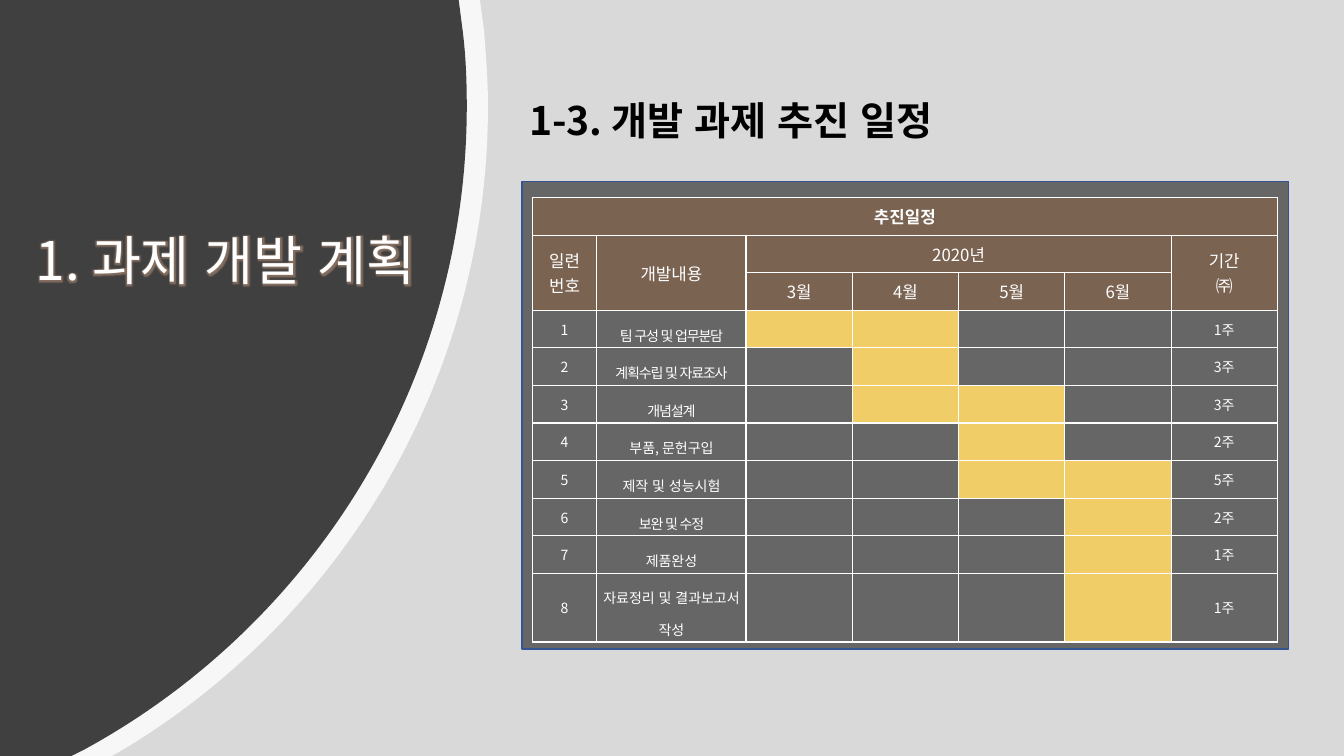
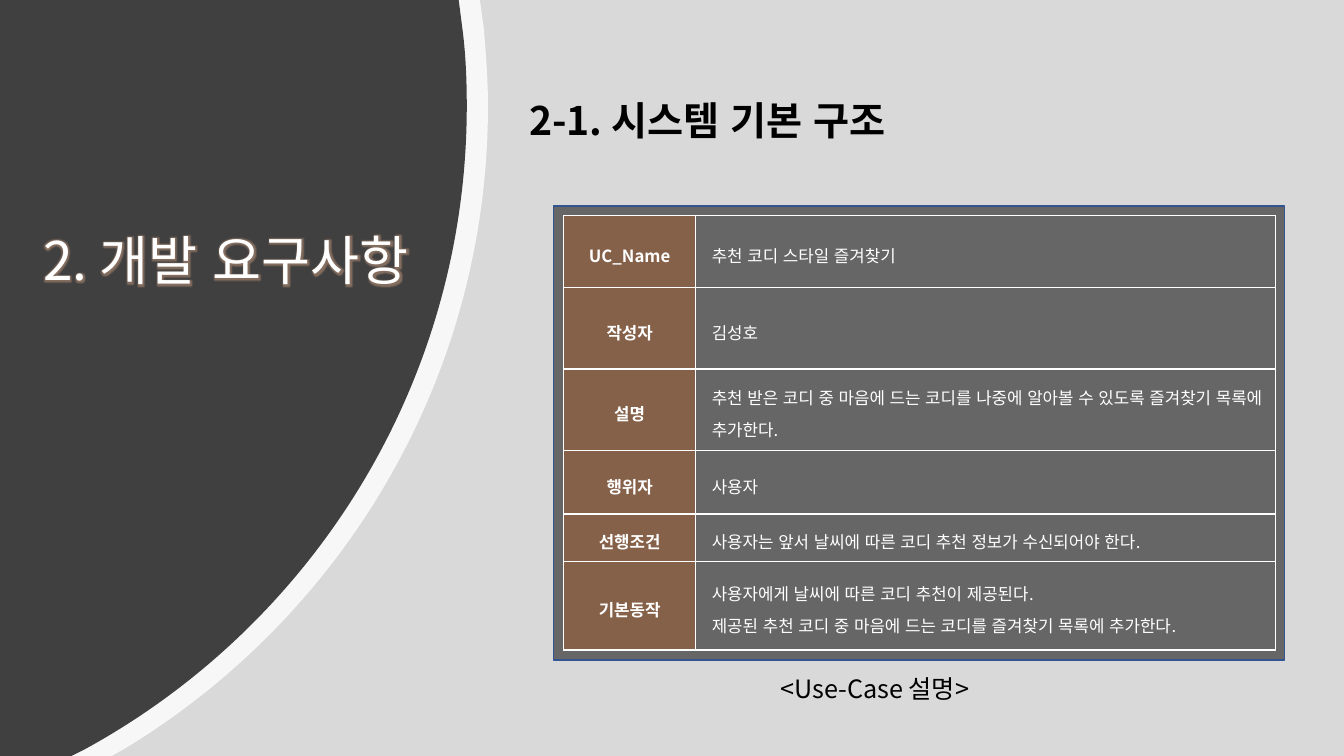
from dataclasses import dataclass
from typing import Any, Optional

from lxml import etree
from pptx import Presentation
from pptx.dml.color import RGBColor
from pptx.enum.shapes import MSO_SHAPE
from pptx.enum.text import MSO_ANCHOR, PP_ALIGN
from pptx.oxml.ns import qn
from pptx.util import Inches, Pt

RECTANGLE = MSO_SHAPE.RECTANGLE
TOP, MIDDLE = MSO_ANCHOR.TOP, MSO_ANCHOR.MIDDLE
LEFT, CENTER = PP_ALIGN.LEFT, PP_ALIGN.CENTER

FONT = "Noto Sans CJK KR"
BACKGROUND, DARK, BLACK, WHITE = "D9D9D9", "404040", "000000", "FFFFFF"
BROWN, YELLOW, PANEL_LINE, GLOW = "C55A11", "FFD966", "325491", "EDB48F"
WIDTH, HEIGHT = 13.33, 7.5
BORDER_TAGS = ("a:lnL", "a:lnR", "a:lnT", "a:lnB")

Point = tuple[float, float]
Box = tuple[float, float, float, float]


@dataclass(frozen=True)
class TextStyle:
    size: float
    color: str = WHITE
    bold: bool = False
    align: Any = LEFT
    line_spacing: float = 1.0
    tracking: float = 0
    glow: bool = False


@dataclass(frozen=True)
class CellStyle:
    text: TextStyle
    insets: Box = (0.1, 0.05, 0.1, 0.05)
    fill: Optional[str] = None
    opacity: int = 100


@dataclass(frozen=True)
class Disc:
    """A dark-side band whose right edge is two Bezier curves."""
    top: float
    shoulder: Point
    curves: tuple[Point, ...]
    bottom: float
    color: str
    opacity: int


@dataclass(frozen=True)
class Task:
    name: str
    months: tuple[int, ...]
    weeks: int
    tracking: float = 0


DISCS = (
    Disc(4.76, (4.8, 0.29), ((4.82, 0.54), (4.84, 0.8), (4.84, 1.05),
                             (4.84, 3.75), (3.4, 6.11), (1.25, 7.42)), 1.11, WHITE, 80),
    Disc(4.55, (4.59, 0.31), ((4.62, 0.55), (4.63, 0.8), (4.63, 1.05),
                              (4.63, 3.81), (3.09, 6.21), (0.83, 7.44)), 0.71, DARK, 100),
)
CHAPTER = TextStyle(38, align=CENTER, line_spacing=0.9, glow=True)
HEADING = TextStyle(28, BLACK, bold=True, line_spacing=1.5)
CAPTION = TextStyle(18, BLACK)

MONTHS = (3, 4, 5, 6)
TASKS = (
    Task("팀 구성 및 업무분담", (3, 4), 1, -0.8),
    Task("계획수립 및 자료조사", (4,), 3, -0.8),
    Task("개념설계", (4, 5), 3, -0.8),
    Task("부품, 문헌구입", (5,), 2),
    Task("제작 및 성능시험", (5, 6), 5),
    Task("보완 및 수정", (6,), 2, -0.8),
    Task("제품완성", (6,), 1),
    Task("자료정리 및 결과보고서 작성", (6,), 1),
)
USE_CASE = (
    ("UC_Name", ("추천 코디 스타일 즐겨찾기",), 0.71),
    ("작성자", ("김성호",), 0.81),
    ("설명", ("추천 받은 코디 중 마음에 드는 코디를 나중에 알아볼 수 있도록 "
            "즐겨찾기 목록에 추가한다.",), 0.81),
    ("행위자", ("사용자",), 0.63),
    ("선행조건", ("사용자는 앞서 날씨에 따른 코디 추천 정보가 수신되어야 한다.",), 0.47),
    ("기본동작", ("사용자에게 날씨에 따른 코디 추천이 제공된다.",
              "제공된 추천 코디 중 마음에 드는 코디를 즐겨찾기 목록에 추가한다."), 0.88),
)


def paint(fill: Any, color: str, opacity: int = 100) -> None:
    fill.solid()
    fill.fore_color.rgb = RGBColor.from_string(color)
    if opacity < 100:
        # The fill object exposes no opacity, so the colour element is extended.
        element = fill.fore_color._xFill.find(qn("a:srgbClr"))
        etree.SubElement(element, qn("a:alpha"), val=str(opacity * 1000))


def add_glow(run: Any) -> None:
    effects = etree.Element(qn("a:effectLst"))
    glow = etree.SubElement(effects, qn("a:glow"), rad=str(Pt(5)))
    color = etree.SubElement(glow, qn("a:srgbClr"), val=GLOW)
    etree.SubElement(color, qn("a:alpha"), val="40000")
    run.font._element.find(qn("a:solidFill")).addnext(effects)


def write_text(frame: Any, lines: tuple[str, ...], style: TextStyle) -> None:
    for index, line in enumerate(lines):
        paragraph = frame.add_paragraph() if index else frame.paragraphs[0]
        paragraph.alignment = style.align
        paragraph.line_spacing = style.line_spacing
        run = paragraph.add_run()
        run.text = line
        values = {"name": FONT, "size": Pt(style.size), "bold": style.bold}
        for name, value in values.items():
            setattr(run.font, name, value)
        paint(run.font.fill, style.color)
        properties = run.font._element
        properties.find(qn("a:latin")).addnext(
            etree.Element(qn("a:ea"), typeface=FONT))
        attributes = {"lang": "ko-KR", "kern": "0",
                      "spc": str(round(style.tracking * 100))}
        for name, value in attributes.items():
            properties.set(name, value)
        if style.glow:
            add_glow(run)


def add_text(slide: Any, box: Box, text: str, style: TextStyle,
             anchor: Any = TOP, indent: float = 0) -> None:
    frame = slide.shapes.add_textbox(*map(Inches, box)).text_frame
    frame.word_wrap = True
    frame.vertical_anchor = anchor
    write_text(frame, (text,), style)
    if indent:
        properties = frame.paragraphs[0]._p.get_or_add_pPr()
        properties.set("marL", str(Inches(indent)))
        properties.set("indent", "0")


def bend_segments(shape: Any, first: int, count: int) -> None:
    """Turn each three of the line segments from first on into one Bezier curve."""
    segments = list(shape._element.iter(qn("a:lnTo")))[first:first + count]
    for start in range(0, count, 3):
        curve = etree.Element(qn("a:cubicBezTo"))
        segments[start].addprevious(curve)
        for segment in segments[start:start + 3]:
            curve.append(segment.find(qn("a:pt")))
            segment.getparent().remove(segment)


def add_disc(slide: Any, disc: Disc) -> None:
    outline = [(disc.top, 0), disc.shoulder, *disc.curves,
               (disc.bottom, HEIGHT), (0, HEIGHT)]
    builder = slide.shapes.build_freeform(0, 0)
    builder.add_line_segments([(Inches(x), Inches(y)) for x, y in outline])
    shape = builder.convert_to_shape()
    bend_segments(shape, 2, len(disc.curves))
    shape.shadow.inherit = False
    paint(shape.fill, disc.color, disc.opacity)
    shape.line.fill.background()


def add_rectangle(slide: Any, box: Box, color: str, opacity: int = 100,
                  line: Optional[str] = None) -> None:
    shape = slide.shapes.add_shape(RECTANGLE, *map(Inches, box))
    shape.shadow.inherit = False
    paint(shape.fill, color, opacity)
    if line:
        paint(shape.line.fill, line)
        shape.line.width = Pt(1.25)
    else:
        shape.line.fill.background()


def add_section_slide(presentation: Any, chapter: str, heading: str,
                      panel: Box) -> Any:
    slide = presentation.slides.add_slide(presentation.slide_layouts[6])
    add_rectangle(slide, (0, 0, WIDTH, HEIGHT), BACKGROUND)
    for disc in DISCS:
        add_disc(slide, disc)
    add_text(slide, (4.84, 0.67, 8.05, 0.87), heading, HEADING, indent=0.31)
    add_text(slide, (0.01, 1.41, 4.46, 2.41), chapter, CHAPTER, MIDDLE)
    add_rectangle(slide, panel, BLACK, 53, PANEL_LINE)
    return slide


def add_borders(cell: Any) -> None:
    properties = cell._tc.get_or_add_tcPr()
    for position, tag in enumerate(BORDER_TAGS):
        line = etree.Element(qn(tag), w=str(Pt(1)))
        fill = etree.SubElement(line, qn("a:solidFill"))
        etree.SubElement(fill, qn("a:srgbClr"), val=WHITE)
        properties.insert(position, line)


def add_grid(slide: Any, left: float, top: float, widths: list[float],
             heights: list[float]) -> Any:
    """Add an unfilled table with white borders."""
    table = slide.shapes.add_table(
        len(heights), len(widths), Inches(left), Inches(top),
        Inches(sum(widths)), Inches(sum(heights))).table
    table.first_row = table.horz_banding = False
    for column, width in zip(table.columns, widths):
        column.width = Inches(width)
    for row, height in zip(table.rows, heights):
        row.height = Inches(height)
    for cell in table.iter_cells():
        cell.fill.background()
        add_borders(cell)
        # Keeps empty cells from stretching their rows.
        cell.text_frame.paragraphs[0].font.size = Pt(10)
    return table


def fill_cell(cell: Any, lines: tuple[str, ...], style: CellStyle) -> None:
    cell.vertical_anchor = MIDDLE
    sides = ("margin_left", "margin_top", "margin_right", "margin_bottom")
    for side, inset in zip(sides, style.insets):
        setattr(cell, side, Inches(inset))
    if style.fill:
        paint(cell.fill, style.fill, style.opacity)
    write_text(cell.text_frame, lines, style.text)


def add_schedule(slide: Any) -> None:
    number_width, name_width, total_width = 0.64, 1.48, 7.39
    month_width = (total_width - number_width - name_width) / 5
    table = add_grid(slide, 5.28, 1.96,
                     [number_width, name_width] + [month_width] * 5,
                     [3.73 / 10] * 10 + [0.68])
    banner = CellStyle(TextStyle(12, bold=True, align=CENTER), fill=BROWN, opacity=23)
    header = CellStyle(TextStyle(12, align=CENTER), fill=BROWN, opacity=23)
    value = CellStyle(TextStyle(10, align=CENTER))
    merged_headers = (
        (0, 0, 0, 6, ("추진일정",), banner),
        (1, 0, 2, 0, ("일련번호",), header),
        (1, 1, 2, 1, ("개발내용",), header),
        (1, 2, 1, 5, ("2020년",), header),
        (1, 6, 2, 6, ("기간", "㈜"), header),
    )
    for row, column, last_row, last_column, lines, style in merged_headers:
        cell = table.cell(row, column)
        cell.merge(table.cell(last_row, last_column))
        fill_cell(cell, lines, style)
    for column, month in enumerate(MONTHS, start=2):
        fill_cell(table.cell(2, column), (f"{month}월",), header)
    for number, task in enumerate(TASKS, start=1):
        row = number + 2
        name = CellStyle(TextStyle(10, align=CENTER, line_spacing=1.6,
                                   tracking=task.tracking), (0.02,) * 4)
        fill_cell(table.cell(row, 0), (str(number),), value)
        fill_cell(table.cell(row, 1), (task.name,), name)
        fill_cell(table.cell(row, 6), (f"{task.weeks}주",), value)
        for month in task.months:
            paint(table.cell(row, 2 + MONTHS.index(month)).fill, YELLOW, 90)


def add_use_case(slide: Any) -> None:
    add_text(slide, (7.64, 6.63, 2.89, 0.4), "<Use-Case 설명>", CAPTION)
    table = add_grid(slide, 5.59, 2.14, [1.31, 5.75],
                     [height for _, _, height in USE_CASE])
    label_style = CellStyle(
        TextStyle(12, bold=True, align=CENTER, line_spacing=1.3),
        (0.06, 0.02, 0.06, 0.02), BROWN, 34)
    detail_style = CellStyle(TextStyle(12, line_spacing=1.3), (0.16, 0.02, 0.06, 0.02))
    for row, (label, details, _) in enumerate(USE_CASE):
        fill_cell(table.cell(row, 0), (label,), label_style)
        fill_cell(table.cell(row, 1), details, detail_style)


def main() -> None:
    presentation = Presentation()
    presentation.slide_width = Inches(WIDTH)
    presentation.slide_height = Inches(HEIGHT)
    add_schedule(add_section_slide(
        presentation, "1. 과제 개발 계획", "1-3. 개발 과제 추진 일정",
        (5.18, 1.8, 7.6, 4.64)))
    add_use_case(add_section_slide(
        presentation, "2. 개발 요구사항", "2-1. 시스템 기본 구조",
        (5.49, 2.04, 7.25, 4.51)))
    presentation.save("out.pptx")


if __name__ == "__main__":
    main()
